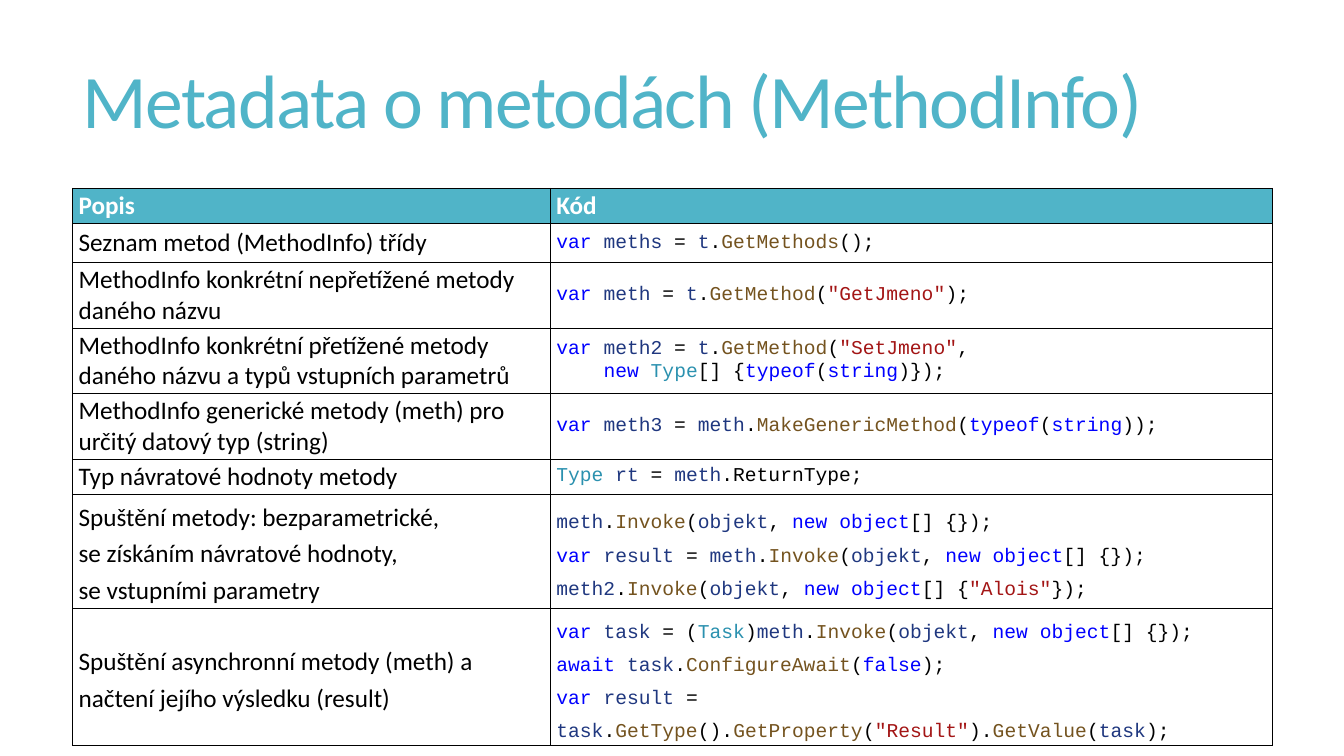
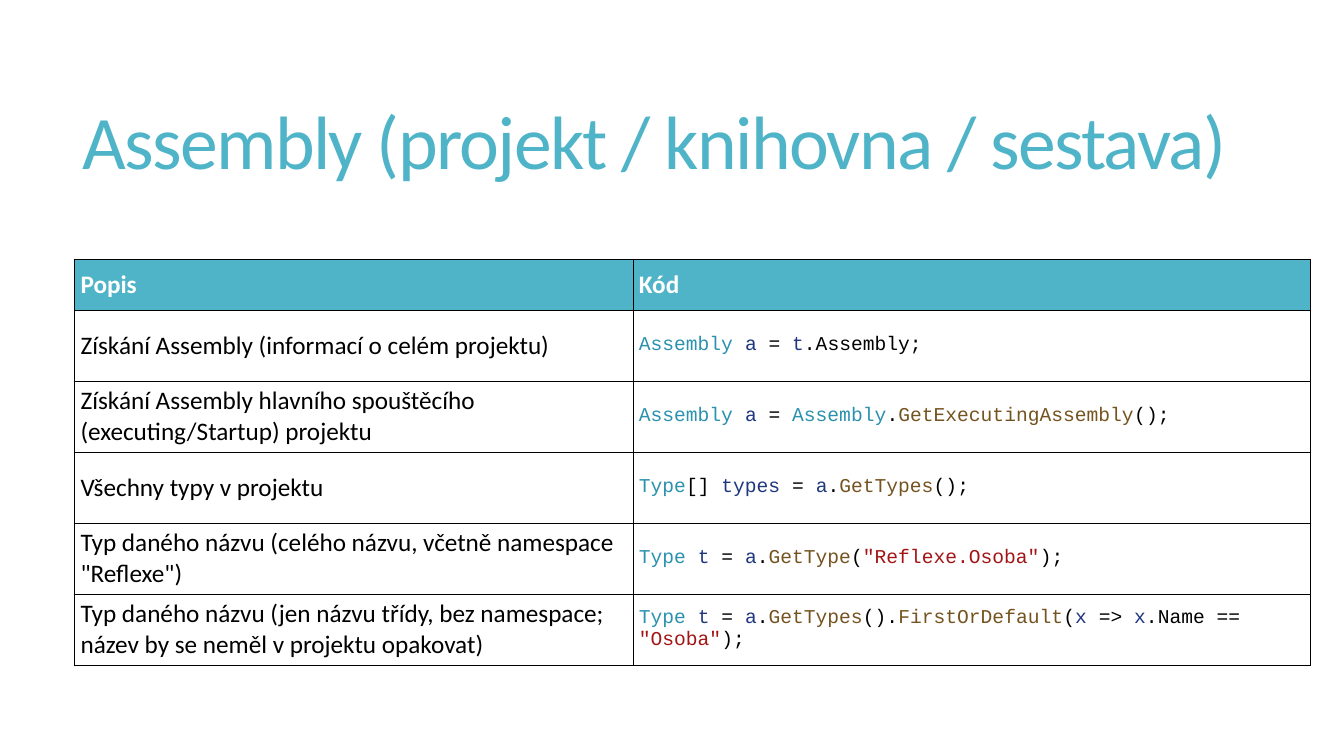
from itertools import groupby

from lxml.etree import SubElement
from pptx import Presentation
from pptx.dml.color import RGBColor
from pptx.enum.text import MSO_ANCHOR, MSO_AUTO_SIZE, PP_ALIGN
from pptx.oxml.ns import qn
from pptx.util import Cm, Pt

# Shared look
ACCENT, WHITE, BLACK = "50B4C8", "FFFFFF", "000000"
KEYWORD, TYPE, METHOD, VARIABLE, STRING = "0000FF", "2B91AF", "74531F", "1F377F", "A31515"
KEYWORDS = {"var", "new", "typeof", "string", "object", "await", "false"}
TYPES = {"Type", "Task", "Assembly"}
TEXT_FONT, CODE_FONT = "Calibri", "Courier New"
OUTER_LINE, INNER_LINE = Pt(1), Pt(0.25)
CODE_INDENT = Cm(1.19)


def color(hex_string):
    return RGBColor.from_string(hex_string)


def code_spans(line):
    """Split a line of C# into (text, colour) pairs."""
    tokens = []
    for number, part in enumerate(line.split('"')):
        if number % 2:
            tokens.append(f'"{part}"')
        else:
            tokens += ["".join(group) for _, group in groupby(part, str.isalnum)]
    spans = []
    for number, token in enumerate(tokens):
        before = tokens[number - 1] if number else ""
        after = tokens[number + 1] if number + 1 < len(tokens) else ""
        if token.startswith('"'):
            shade = STRING
        elif not token.isalnum():
            shade = BLACK
        elif token in KEYWORDS:
            shade = KEYWORD
        elif after.startswith("("):
            shade = METHOD
        elif before.endswith("."):
            shade = BLACK
        else:
            shade = TYPE if token in TYPES else VARIABLE
        spans.append((token, shade))
    return spans


# Content: each row is height in cm, description, code, line spacing of both.
# A tab at the start of a code line marks an indented line.
SINGLE, LOOSE = (1, 1), (1.2, 1.5)
SLIDES = [
    {
        "title": "Metadata o metodách (MethodInfo)",
        "title_top": 0.69, "title_height": 3.91,
        "table_left": 1.83, "table_top": 4.75,
        "columns": (12.04, 18.19), "header_height": 0.76,
        "rows": [
            (0.99, "Seznam metod (MethodInfo) třídy",
             "var meths = t.GetMethods();", SINGLE),
            (1.63, "MethodInfo konkrétní nepřetížené metody daného názvu",
             'var meth = t.GetMethod("GetJmeno");', SINGLE),
            (1.63, "MethodInfo konkrétní přetížené metody daného názvu a typů vstupních parametrů",
             'var meth2 = t.GetMethod("SetJmeno",\n\tnew Type[] {typeof(string)});', SINGLE),
            (1.63, "MethodInfo generické metody (meth) pro určitý datový typ (string)",
             "var meth3 = meth.MakeGenericMethod(typeof(string));", SINGLE),
            (0.76, "Typ návratové hodnoty metody",
             "Type rt = meth.ReturnType;", SINGLE),
            (2.44, "Spuštění metody: bezparametrické,\nse získáním návratové hodnoty,\n"
                   "se vstupními parametry",
             "meth.Invoke(objekt, new object[] {});\n"
             "var result = meth.Invoke(objekt, new object[] {});\n"
             'meth2.Invoke(objekt, new object[] {"Alois"});', LOOSE),
            (1.96, "Spuštění asynchronní metody (meth) a načtení jejího výsledku (result)",
             "var task = (Task)meth.Invoke(objekt, new object[] {});\n"
             "await task.ConfigureAwait(false);\n"
             'var result = task.GetType().GetProperty("Result").GetValue(task);', LOOSE),
        ],
    },
    {
        "title": "Assembly (projekt / knihovna / sestava)",
        "title_top": 1.4, "title_height": 4.6,
        "table_left": 1.88, "table_top": 6.54,
        "columns": (14.07, 17.07), "header_height": 1.27,
        "rows": [
            (1.79, "Získání Assembly (informací o celém projektu)",
             "Assembly a = t.Assembly;", SINGLE),
            (1.79, "Získání Assembly hlavního spouštěcího (executing/Startup) projektu",
             "Assembly a = Assembly.GetExecutingAssembly();", SINGLE),
            (1.79, "Všechny typy v projektu",
             "Type[] types = a.GetTypes();", SINGLE),
            (1.79, 'Typ daného názvu (celého názvu, včetně namespace "Reflexe")',
             'Type t = a.GetType("Reflexe.Osoba");', SINGLE),
            (1.79, "Typ daného názvu (jen názvu třídy, bez namespace; "
                   "název by se neměl v projektu opakovat)",
             'Type t = a.GetTypes().FirstOrDefault(x => x.Name == "Osoba");', SINGLE),
        ],
    },
]

deck = Presentation()
deck.slide_width, deck.slide_height = Cm(33.87), Cm(19.05)

for content in SLIDES:
    page = deck.slides.add_slide(deck.slide_layouts[5])

    # Title
    title = page.shapes.title
    title.left, title.top = Cm(1.83), Cm(content["title_top"])
    title.width, title.height = Cm(29.92), Cm(content["title_height"])
    frame = title.text_frame
    frame.text = content["title"]
    frame.word_wrap = True
    frame.auto_size = MSO_AUTO_SIZE.NONE
    frame.vertical_anchor = MSO_ANCHOR.MIDDLE
    para = frame.paragraphs[0]
    para.alignment = PP_ALIGN.LEFT
    para.line_spacing = 0.85
    para.font.name, para.font.size = TEXT_FONT, Pt(54)
    para.font.color.rgb = color(ACCENT)
    para.runs[0]._r.get_or_add_rPr().set("spc", "-120")

    # Table grid
    rows = [(content["header_height"], "Popis", "Kód", SINGLE)] + content["rows"]
    widths = content["columns"]
    table = page.shapes.add_table(
        len(rows), len(widths), Cm(content["table_left"]), Cm(content["table_top"]),
        Cm(sum(widths)), Cm(sum(row[0] for row in rows))).table
    table.horz_banding = False
    for column, width in zip(table.columns, widths):
        column.width = Cm(width)

    for row_number, (height, *texts, spacings) in enumerate(rows):
        table.rows[row_number].height = Cm(height)
        is_header = row_number == 0
        for column_number, (text, spacing) in enumerate(zip(texts, spacings)):
            cell = table.cell(row_number, column_number)
            is_code = column_number == 1 and not is_header
            cell.margin_left = cell.margin_right = Cm(0.15)
            cell.margin_top = cell.margin_bottom = Cm(0.05)
            cell.vertical_anchor = MSO_ANCHOR.MIDDLE

            # Borders: thick around the table, thin inside
            edges = {"a:lnL": column_number == 0, "a:lnR": column_number == len(widths) - 1,
                     "a:lnT": is_header, "a:lnB": row_number == len(rows) - 1}
            for tag, is_outer in edges.items():
                line = SubElement(cell._tc.get_or_add_tcPr(), qn(tag),
                                  w=str(OUTER_LINE if is_outer else INNER_LINE))
                SubElement(SubElement(line, qn("a:solidFill")), qn("a:srgbClr"), val=BLACK)

            # Fill
            if is_header:
                cell.fill.solid()
                cell.fill.fore_color.rgb = color(ACCENT)
            else:
                cell.fill.background()

            # Text
            for line_number, text_line in enumerate(text.split("\n")):
                frame = cell.text_frame
                para = frame.add_paragraph() if line_number else frame.paragraphs[0]
                para.line_spacing = spacing
                para.font.name = CODE_FONT if is_code else TEXT_FONT
                para.font.size = Pt(14 if is_code else 18)
                para.font.bold = is_header
                if text_line.startswith("\t"):
                    para._p.get_or_add_pPr().set("marL", str(CODE_INDENT))
                if is_code:
                    for token, shade in code_spans(text_line.strip()):
                        span = para.add_run()
                        span.text = token
                        span.font.color.rgb = color(shade)
                else:
                    para.font.color.rgb = color(WHITE if is_header else BLACK)
                    para.add_run().text = text_line

deck.save("out.pptx")
